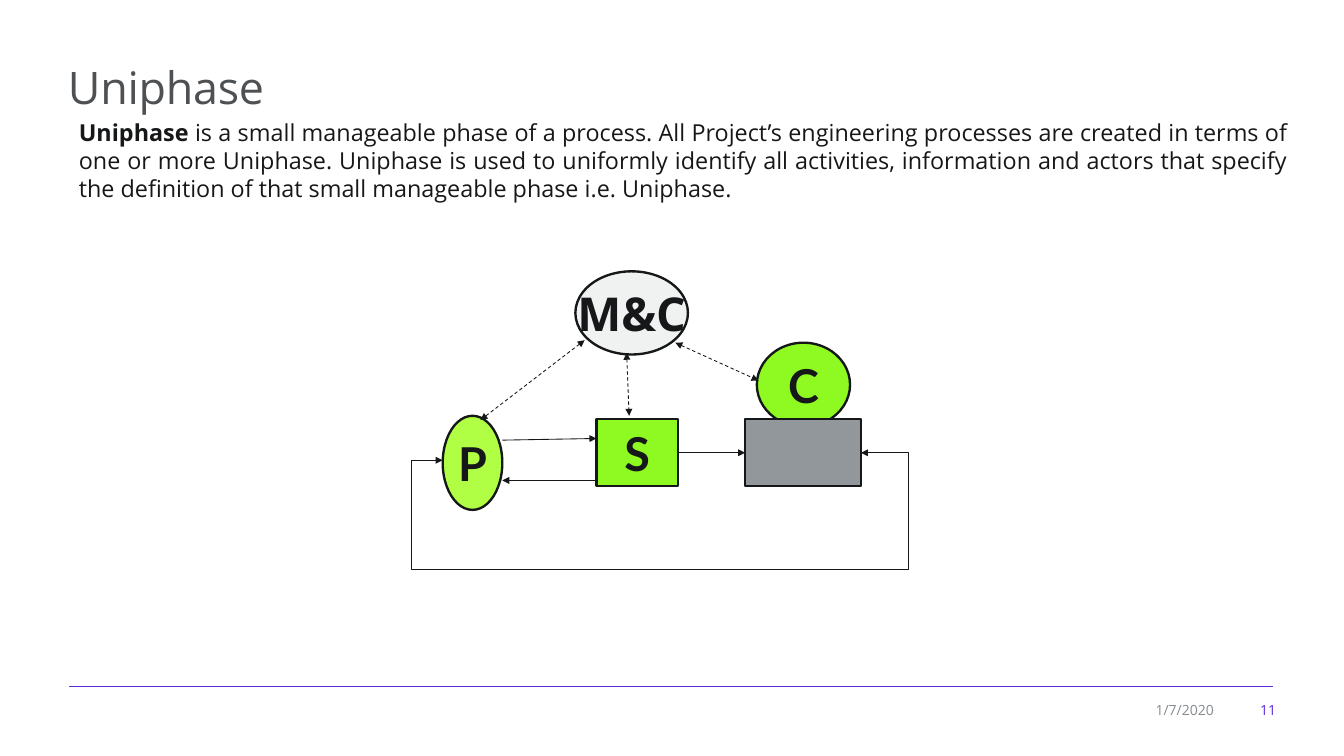
import pptx
import pptx.util
import pptx.dml.color
import pptx.enum.dml
import pptx.enum.shapes
import pptx.enum.text
import pptx.oxml.ns
import lxml.etree

HUES = {"ink": "161718", "title": "4D5154", "rule": "622AD8", "date": "868B90",
        "lime": "8EFA21", "pale": "B0FF45", "mist": "F0F1F1", "gray": "92979B"}
KIND = pptx.enum.shapes.MSO_SHAPE
ALIGN = pptx.enum.text.PP_ALIGN
MIDDLE = pptx.enum.text.MSO_ANCHOR.MIDDLE
qn = pptx.oxml.ns.qn

deck = pptx.Presentation()
deck.slide_width = pptx.util.Inches(16)
deck.slide_height = pptx.util.Inches(9)
slide = deck.slides.add_slide(deck.slide_layouts[6])
shapes = slide.shapes
# The slide is a grid of 16 columns and 9 rows
unit = deck.slide_width // 16


def write(shape, *parts, size=40, font="Open Sans", hue="ink", bold=False,
          align=ALIGN.LEFT, anchor=MIDDLE, wrap=True):
    """Write text; only the first part takes the bold setting."""
    frame = shape.text_frame
    frame.word_wrap = wrap
    frame.vertical_anchor = anchor
    para = frame.paragraphs[0]
    para.alignment = align
    for i, part in enumerate(parts):
        run = para.add_run()
        run.text = part
        run.font.size = pptx.util.Pt(size)
        run.font.name = font
        run.font.bold = bold and i == 0
        run.font.color.rgb = pptx.dml.color.RGBColor.from_string(HUES[hue])
    return para


def stroke(item, hue="ink", width=0.75, dash=False, ends=()):
    """Style a line and give it arrowheads at the named ends."""
    line = item.line
    line.color.rgb = pptx.dml.color.RGBColor.from_string(HUES[hue])
    line.width = pptx.util.Pt(width)
    if dash:
        line.dash_style = pptx.enum.dml.MSO_LINE.DASH
    for end in ends:
        lxml.etree.SubElement(line._get_or_add_ln(), qn(f"a:{end}"), type="triangle")
    props = item._element.spPr
    if props.find(qn("a:effectLst")) is None:
        lxml.etree.SubElement(props, qn("a:effectLst"))


# Title, body and footer text
top = pptx.enum.text.MSO_ANCHOR.TOP
texts = [
    ((0.71, 0.66, 14.59, 0.75), ["Uniphase"],
     dict(size=38.4, hue="title", anchor=top)),
    ((0.84, 1.36, 14.59, 1.11),
     ["Uniphase", " is a small manageable phase of a process. All Project’s engineering "
      "processes are created in terms of one or more Uniphase. Uniphase is used to "
      "uniformly identify all activities, information and actors that specify the "
      "definition of that small manageable phase i.e. Uniphase."],
     dict(size=20, bold=True, align=ALIGN.JUSTIFY, anchor=top)),
    ((13.41, 8.3, 1.14, 0.31), ["1/7/2020"], dict(size=12, hue="date", align=ALIGN.RIGHT)),
    ((14.68, 8.3, 0.61, 0.31), ["11"], dict(size=12, hue="rule", align=ALIGN.RIGHT)),
]
for spot, parts, style in texts:
    box = shapes.add_textbox(*[int(v * unit) for v in spot])
    para = write(box, *parts, **style)
    if style["size"] > 30:
        para.runs[0].font._element.set("spc", "-20")

# Nodes, from back to front
nodes = {}
for name, kind, spot, hue, font in [
    ("P", KIND.OVAL, (5.27, 4.95, 0.71, 1.12), "pale", "Lato"),
    ("S", KIND.RECTANGLE, (7.1, 4.99, 0.97, 0.8), "lime", "Lato"),
    ("M&C", KIND.OVAL, (6.85, 3.23, 1.34, 0.99), "mist", "Open Sans"),
    ("C", KIND.OVAL, (9.01, 4.08, 1.11, 1), "lime", "Lato"),
    ("", KIND.RECTANGLE, (8.87, 4.99, 1.38, 0.8), "gray", "Lato"),
]:
    node = shapes.add_shape(kind, *[int(v * unit) for v in spot])
    node.shadow.inherit = False
    node.fill.solid()
    node.fill.fore_color.rgb = pptx.dml.color.RGBColor.from_string(HUES[hue])
    stroke(node, width=2)
    if name:
        write(node, name, font=font, bold=True, align=ALIGN.CENTER, wrap=False)
    nodes[name] = node

# Straight lines: the footer rule, then the arrows
tail, both = ["tailEnd"], ["headEnd", "tailEnd"]
for ends, style in [
    ((0.82, 8.17, 15.16, 8.17), dict(hue="rule")),
    ((6.96, 4.05, 5.72, 5), dict(dash=True, ends=both)),
    ((7.46, 4.2, 7.49, 4.95), dict(dash=True, ends=both)),
    ((8.04, 4.08, 9.03, 4.53), dict(dash=True, ends=both)),
    ((7.1, 5.72, 5.98, 5.72), dict(ends=tail)),
    ((5.98, 5.24, 7.1, 5.22), dict(ends=tail)),
]:
    line = shapes.add_connector(pptx.enum.shapes.MSO_CONNECTOR.STRAIGHT,
                                *[int(v * unit) for v in ends])
    stroke(line, **style)

# The arrow from S to the gray box
link = shapes.add_connector(pptx.enum.shapes.MSO_CONNECTOR.STRAIGHT, 0, 0, 0, 0)
link.begin_connect(nodes["S"], 3)
link.end_connect(nodes[""], 1)
stroke(link, ends=tail)

# The feedback loop: one bent arrow to P, one to the gray box
base = 6.78
for side, row, tip in [(4.9, 5.48, 5.27), (10.81, 5.39, 10.25)]:
    first, *rest = [(int(x * unit), int(y * unit)) for x, y in
                    [(9.56, base), (side, base), (side, row), (tip, row)]]
    pen = shapes.build_freeform(*first)
    pen.add_line_segments(rest, close=False)
    loop = pen.convert_to_shape()
    loop.shadow.inherit = False
    loop.fill.background()
    stroke(loop, ends=tail)

deck.save("out.pptx")
